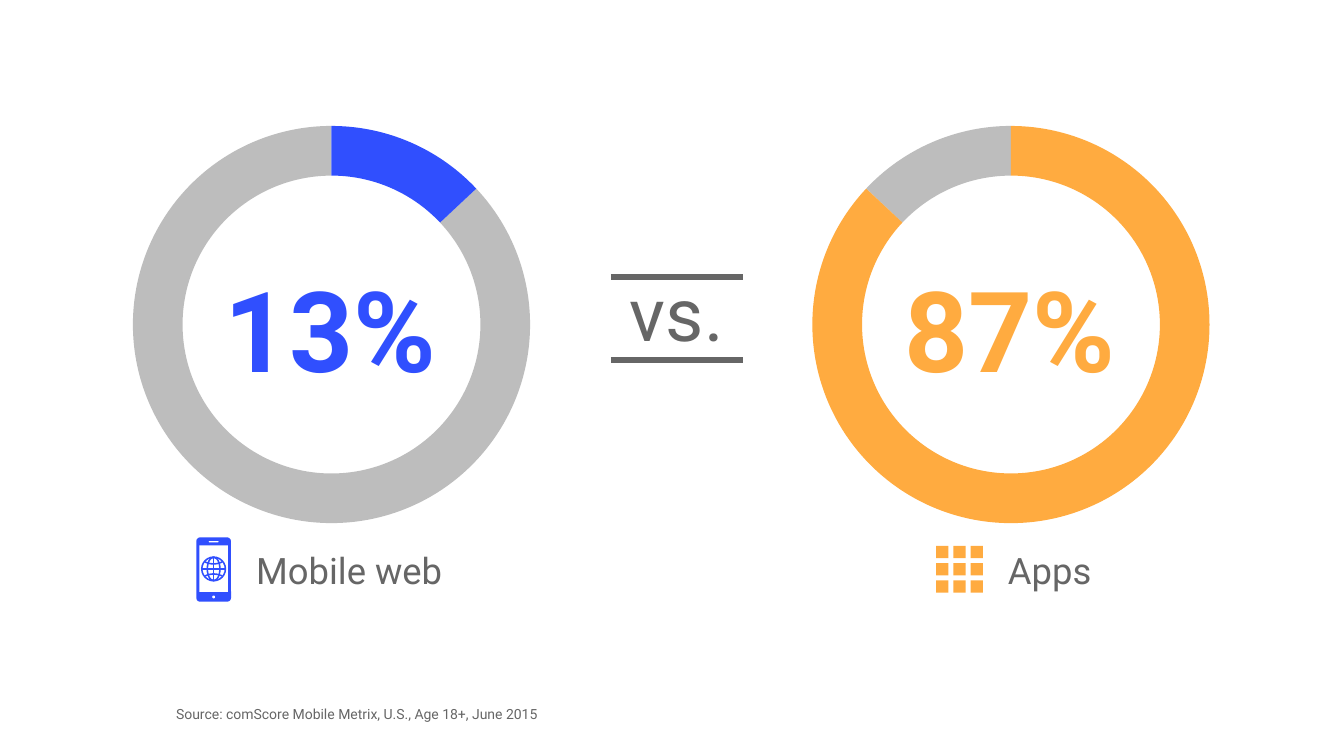
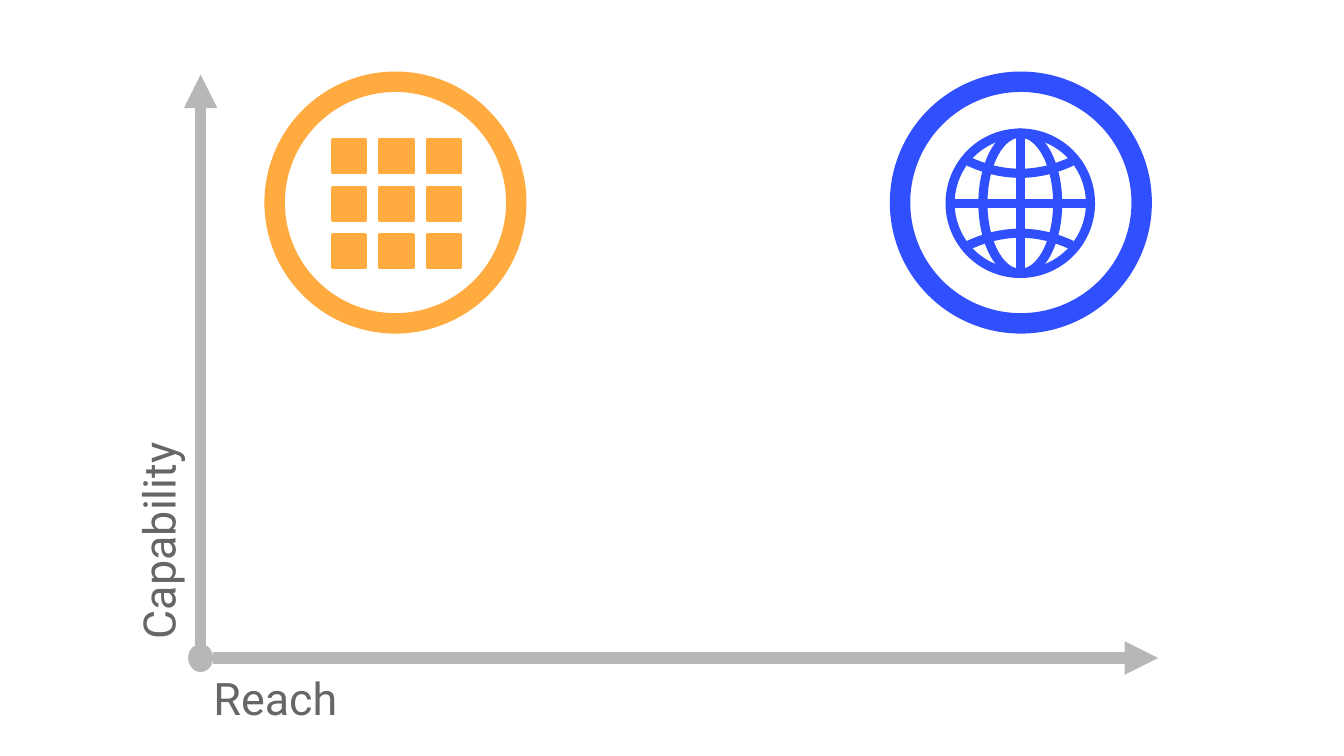
import dataclasses
import itertools

import lxml.etree
import pptx
import pptx.dml.color
import pptx.enum.shapes
import pptx.enum.text
import pptx.oxml.ns
import pptx.util

Pt = pptx.util.Pt
SHAPE = pptx.enum.shapes.MSO_SHAPE
ALIGN = pptx.enum.text.PP_ALIGN
ANCHOR = pptx.enum.text.MSO_ANCHOR

# Shared look
FONT = "Roboto"
BLUE, ORANGE = "304FFE", "FFAB40"
TEXT, TRACK, AXIS, WHITE = "666666", "BDBDBD", "B7B7B7", "FFFFFF"


@dataclasses.dataclass(frozen=True)
class Dial:
    left: float
    percent: int
    color: str
    label: str
    label_left: float


@dataclasses.dataclass(frozen=True)
class Axis:
    start: tuple[float, float]
    end: tuple[float, float]


DIALS = [
    Dial(95, 13, BLUE, "Mobile web", 183),
    Dial(580.3, 87, ORANGE, "Apps", 720),
]
DIAL_TOP, DIAL_SIZE = 90, 283.7
AXES = [Axis((143.3, 461), (143.3, 53.3)), Axis((152, 470), (827.3, 470))]


def rgb(value: str) -> pptx.dml.color.RGBColor:
    return pptx.dml.color.RGBColor.from_string(value)


def style(sp, fill: str | None, line: str | None = None, width: float = 1) -> None:
    """Set fill and outline, and drop the shadow."""
    sp.shadow.inherit = False
    if fill:
        sp.fill.solid()
        sp.fill.fore_color.rgb = rgb(fill)
    else:
        sp.fill.background()
    if line:
        sp.line.color.rgb = rgb(line)
        sp.line.width = Pt(width)
    else:
        sp.line.fill.background()


def add_shape(shapes, kind, x: float, y: float, w: float, h: float,
              fill: str | None, line: str | None = None, width: float = 1,
              adjust: tuple[float, ...] = ()):
    sp = shapes.add_shape(kind, Pt(x), Pt(y), Pt(w), Pt(h))
    style(sp, fill, line, width)
    for i, value in enumerate(adjust):
        sp.adjustments[i] = value
    return sp


def add_line(shapes, start: tuple[float, float], end: tuple[float, float],
             color: str, width: float, arrow: bool = False) -> None:
    c = shapes.add_connector(pptx.enum.shapes.MSO_CONNECTOR.STRAIGHT,
                             *(Pt(v) for v in (*start, *end)))
    c.line.color.rgb = rgb(color)
    c.line.width = Pt(width)
    qn = pptx.oxml.ns.qn
    if arrow:
        lxml.etree.SubElement(c.line._get_or_add_ln(), qn("a:tailEnd"), type="triangle")
    lxml.etree.SubElement(c._element.spPr, qn("a:effectLst"))


def add_text(shapes, text: str, x: float, y: float, w: float, h: float, *,
             size: float, color: str = TEXT, bold: bool = False,
             align=ALIGN.LEFT, anchor=ANCHOR.MIDDLE, inset: float = 0,
             rotation: float = 0) -> None:
    sp = shapes.add_textbox(Pt(x), Pt(y), Pt(w), Pt(h))
    sp.rotation = rotation
    tf = sp.text_frame
    tf.word_wrap = True
    tf.vertical_anchor = anchor
    tf.margin_left = tf.margin_right = tf.margin_top = tf.margin_bottom = Pt(inset)
    p = tf.paragraphs[0]
    p.alignment = align
    r = p.add_run()
    r.text = text
    r.font.name = FONT
    r.font.size = Pt(size)
    r.font.bold = bold
    r.font.color.rgb = rgb(color)


def add_app_grid(s, left: float, top: float, cell: float, pitch: float,
                 line: str | None = None) -> None:
    """Three by three squares."""
    shapes = s.shapes.add_group_shape().shapes
    for col, row in itertools.product(range(3), repeat=2):
        add_shape(shapes, SHAPE.RECTANGLE, left + col * pitch, top + row * pitch,
                  cell, cell, ORANGE, line, 2)


def add_globe(s, cx: float, cy: float, radius: float) -> None:
    """Wire globe: rim, meridian, cross and two parallels."""
    shapes = s.shapes.add_group_shape().shapes
    width = 0.122 * radius
    ry = radius - width / 2
    for rx in (ry, radius / 2):
        add_shape(shapes, SHAPE.OVAL, cx - rx, cy - ry, 2 * rx, 2 * ry, None, BLUE, width)
    add_line(shapes, (cx - ry, cy), (cx + ry, cy), BLUE, width)
    add_line(shapes, (cx, cy - ry), (cx, cy + ry), BLUE, width)
    for side in (-1, 1):
        steps = [i / 10 for i in range(-10, 11)]
        points = [(Pt(cx + 0.69 * radius * t),
                   Pt(cy + side * radius * (0.4 + 0.16 * t * t))) for t in steps]
        fb = shapes.build_freeform(*points[0])
        fb.add_line_segments(points[1:], close=False)
        style(fb.convert_to_shape(), None, BLUE, width)


def add_phone(s, x: float, y: float) -> None:
    shapes = s.shapes.add_group_shape().shapes
    add_shape(shapes, SHAPE.ROUNDED_RECTANGLE, x, y, 24.8, 46, BLUE, adjust=(0.11,))
    add_shape(shapes, SHAPE.RECTANGLE, x + 2.2, y + 5.8, 20.4, 33.2, WHITE)
    add_shape(shapes, SHAPE.ROUNDED_RECTANGLE, x + 8.9, y + 2.7, 7, 0.9, WHITE, adjust=(0.5,))
    add_shape(shapes, SHAPE.OVAL, x + 11.4, y + 41.6, 2, 2, WHITE)


def add_dial(s, dial: Dial) -> None:
    """Ring split at the top, with its value inside and its label below."""
    top = 270
    split = (top + 3.6 * dial.percent) % 360
    for start, end, color in ((split, top, TRACK), (top, split, dial.color)):
        # Angles are stored in 60000ths of a degree, scaled by 100000
        add_shape(s.shapes, SHAPE.BLOCK_ARC, dial.left, DIAL_TOP, DIAL_SIZE, DIAL_SIZE,
                  color, adjust=(0.6 * start, 0.6 * end, 0.125))
    add_text(s.shapes, f"{dial.percent}%", dial.left - 0.7, 184.3, DIAL_SIZE, 99.4,
             size=80, color=dial.color, bold=True, align=ALIGN.CENTER, inset=1.4)
    add_text(s.shapes, dial.label, dial.label_left, 391, 160.6, 31.7, size=26)


def build_usage(prs) -> None:
    s = prs.slides.add_slide(prs.slide_layouts[6])
    # Versus sign between two rules
    add_text(s.shapes, "vs.", 388.8, 189.4, 189.4, 67, size=53,
             align=ALIGN.CENTER, inset=1.4)
    for y in (198, 257):
        add_line(s.shapes, (436.3, y), (530.6, y), TEXT, 4)
    for dial in DIALS:
        add_dial(s, dial)
    # Label icons
    add_phone(s, 140.2, 383.8)
    add_globe(s, 152.6, 406.4, 9)
    add_app_grid(s, 668.7, 390, 8.7, 12.3)
    add_text(s.shapes, "Source: comScore Mobile Metrix, U.S., Age 18+, June 2015",
             116.6, 490.3, 676, 31.7, size=10, anchor=ANCHOR.BOTTOM, inset=9.2)


def build_reach(prs) -> None:
    s = prs.slides.add_slide(prs.slide_layouts[6])
    # Axes and their names
    for axis in AXES:
        add_line(s.shapes, axis.start, axis.end, AXIS, 8, arrow=True)
    add_shape(s.shapes, SHAPE.OVAL, 135.4, 461, 15.8, 18, AXIS, AXIS, 2)
    add_text(s.shapes, "Capability", -93.6, 230.4, 412.6, 58.3, size=32,
             inset=9.2, rotation=270)
    add_text(s.shapes, "Reach", 143.3, 469.4, 681, 58.3, size=32, inset=9.2)
    # Ringed icons
    for left, color in ((635.6, BLUE), (188.9, ORANGE)):
        add_shape(s.shapes, SHAPE.DONUT, left, 51.1, 187.2, 187.2, color, adjust=(0.078,))
    add_globe(s, 728.8, 145.2, 53.4)
    add_app_grid(s, 237.5, 99.8, 23.8, 33.9, ORANGE)


def main() -> None:
    prs = pptx.Presentation()
    prs.slide_width, prs.slide_height = Pt(960), Pt(540)
    build_usage(prs)
    build_reach(prs)
    prs.save("out.pptx")


if __name__ == "__main__":
    main()
